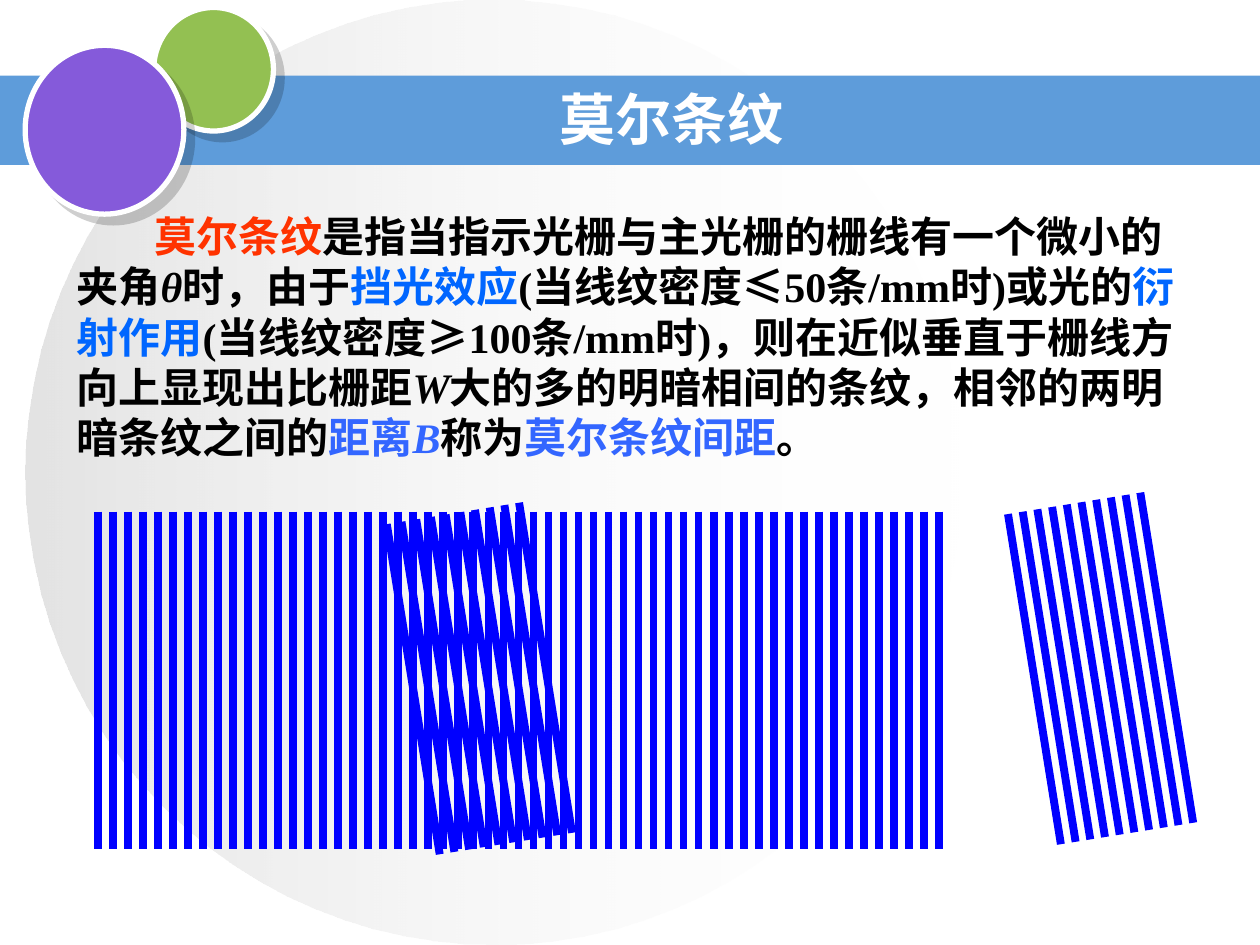
from dataclasses import dataclass

from lxml import etree
from pptx import Presentation
from pptx import util as u
from pptx.dml.color import RGBColor
from pptx.enum import shapes, text
from pptx.oxml.ns import qn

COLORS = {
    "white": "FFFFFF", "black": "000000", "band": "5E9CDA",
    "green": "93C052", "purple": "855ADA", "pale": "FEFEFE", "grey": "C0C0C0",
    "red": "FF3300", "azure": "0066FF", "blue": "3366FF", "grating": "0000FF",
}


@dataclass
class Box:
    left: float
    top: float
    width: float
    height: float

    def lengths(self) -> list:
        return [u.Inches(v) for v in (self.left, self.top, self.width, self.height)]


@dataclass
class Grating:
    """Parallel lines: the first line's start, the step between lines, the run of each."""
    start: tuple[float, float]
    step: tuple[float, float]
    run: tuple[float, float]
    count: int


@dataclass
class Phrase:
    words: str
    color: str = "black"
    italic: bool = False


GRATINGS = [
    Grating((0.78, 4.06), (6.67 / 56, 0), (0, 2.68), 57),
    Grating((8.0, 4.08), (1.05 / 9, -0.17 / 9), (0.42, 2.62), 10),
    Grating((3.07, 4.16), (1.05 / 9, -0.17 / 9), (0.42, 2.62), 10),
]

DEFINITION = [
    Phrase("莫尔条纹", "red"),
    Phrase("是指当指示光栅与主光栅的栅线有一个微小的夹角"),
    Phrase("θ", italic=True),
    Phrase("时，由于"),
    Phrase("挡光效应", "azure"),
    Phrase("(当线纹密度≤50条/mm时)或光的"),
    Phrase("衍射作用", "azure"),
    Phrase("(当线纹密度≥100条/mm时)，则在近似垂直于栅线方向上显现出比栅距"),
    Phrase("W", italic=True),
    Phrase("大的多的明暗相间的条纹，相邻的两明暗条纹之间的"),
    Phrase("距离", "blue"),
    Phrase("B", "blue", italic=True),
    Phrase("称为"),
    Phrase("莫尔条纹间距", "blue"),
    Phrase("。"),
]


def rgb(name: str) -> RGBColor:
    return RGBColor.from_string(COLORS[name])


def add_color(parent, name: str, alpha: int) -> None:
    """Append a colour element with its opacity in percent."""
    color = etree.SubElement(parent, qn("a:srgbClr"), val=COLORS[name])
    etree.SubElement(color, qn("a:alpha"), val=str(alpha * 1000))


def add_plain_shape(slide, kind, box: Box, fill: str):
    shape = slide.shapes.add_shape(kind, *box.lengths())
    shape.shadow.inherit = False
    shape.fill.solid()
    shape.fill.fore_color.rgb = rgb(fill)
    shape.line.fill.background()
    return shape


def add_backdrop(slide, box: Box) -> None:
    """Add the large circle that fades out towards the right."""
    shape = add_plain_shape(slide, shapes.MSO_SHAPE.OVAL, box, "grey")
    properties = shape._element.spPr
    gradient = etree.Element(qn("a:gradFill"), rotWithShape="1")
    stops = etree.SubElement(gradient, qn("a:gsLst"))
    for position, name, alpha in ((0, "pale", 0), (100, "grey", 44)):
        stop = etree.SubElement(stops, qn("a:gs"), pos=str(position * 1000))
        add_color(stop, name, alpha)
    etree.SubElement(gradient, qn("a:lin"), ang=str(180 * 60000), scaled="0")
    properties.replace(properties.find(qn("a:solidFill")), gradient)


def add_ball(slide, box: Box, fill: str) -> None:
    """Add a white-rimmed circle with a hard shadow to the lower right."""
    ball = add_plain_shape(slide, shapes.MSO_SHAPE.OVAL, box, fill)
    ball.line.color.rgb = rgb("white")
    ball.line.width = u.Pt(3)
    effects = ball._element.spPr.find(qn("a:effectLst"))
    shadow = etree.SubElement(effects, qn("a:outerShdw"), blurRad="0",
                              dist=str(u.Pt(7.1)), dir=str(45 * 60000),
                              algn="ctr", rotWithShape="0")
    add_color(shadow, "black", 19)


def add_grating(slide, grating: Grating) -> None:
    group = slide.shapes.add_group_shape()
    for index in range(grating.count):
        x = grating.start[0] + index * grating.step[0]
        y = grating.start[1] + index * grating.step[1]
        line = group.shapes.add_connector(
            shapes.MSO_CONNECTOR.STRAIGHT, u.Inches(x), u.Inches(y),
            u.Inches(x + grating.run[0]), u.Inches(y + grating.run[1]))
        line.line.color.rgb = rgb("grating")
        line.line.width = u.Pt(4.5)
        etree.SubElement(line._element.spPr, qn("a:effectLst"))


def add_phrases(slide, box: Box, phrases: list[Phrase], font: str, size: int):
    """Add a text box with one bold paragraph and return its text frame."""
    frame = slide.shapes.add_textbox(*box.lengths()).text_frame
    frame.word_wrap = True
    paragraph = frame.paragraphs[0]
    for phrase in phrases:
        run = paragraph.add_run()
        run.text = phrase.words
        run.font.name = font
        run.font.size = u.Pt(size)
        run.font.bold = True
        run.font.italic = phrase.italic
        run.font.color.rgb = rgb(phrase.color)
    return frame


def main() -> None:
    presentation = Presentation()
    presentation.slide_width = u.Inches(10)
    presentation.slide_height = u.Inches(7.5)
    slide = presentation.slides.add_slide(presentation.slide_layouts[6])

    add_backdrop(slide, Box(0.2, 0, 7.44, 7.5))
    add_plain_shape(slide, shapes.MSO_SHAPE.RECTANGLE, Box(0, 0.6, 10, 0.71), "band")
    add_ball(slide, Box(1.22, 0.06, 0.95, 0.98), "green")
    add_ball(slide, Box(0.2, 0.36, 1.26, 1.34), "purple")

    definition = add_phrases(slide, Box(0.51, 1.62, 9.13, 2.1), DEFINITION,
                             "Times New Roman", 24)
    definition.paragraphs[0]._p.get_or_add_pPr().set("indent", str(u.Inches(0.62)))

    for grating in GRATINGS:
        add_grating(slide, grating)

    title = add_phrases(slide, Box(2.25, 0.67, 6.58, 0.53),
                        [Phrase("莫尔条纹", "white")], "Arial", 32)
    title.vertical_anchor = text.MSO_ANCHOR.MIDDLE
    title.margin_right = u.Inches(0.52)
    title.paragraphs[0].alignment = text.PP_ALIGN.CENTER

    presentation.save("out.pptx")


if __name__ == "__main__":
    main()
